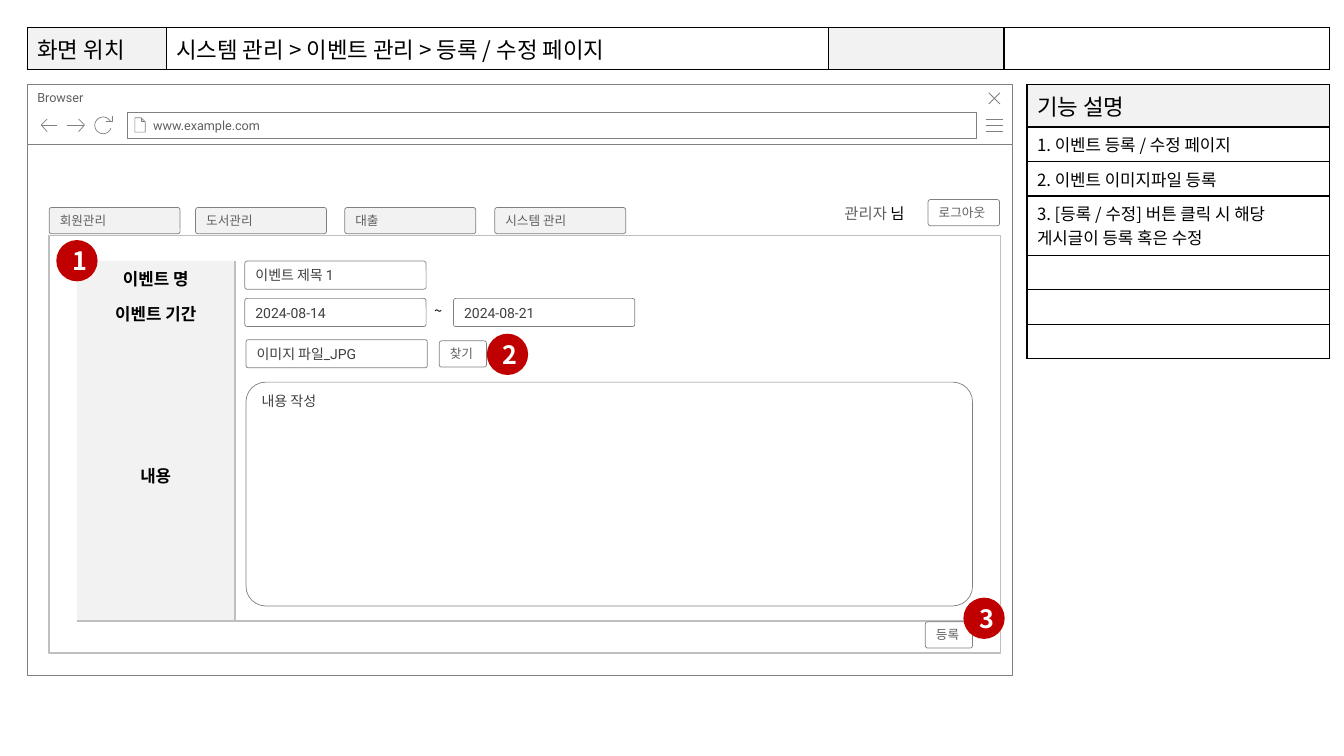
import math
from dataclasses import dataclass, field

import lxml.etree
import pptx
import pptx.dml.color
import pptx.enum.shapes
import pptx.enum.text
import pptx.oxml.ns
import pptx.util

Cm, Pt = pptx.util.Cm, pptx.util.Pt
RGBColor = pptx.dml.color.RGBColor
SHAPE = pptx.enum.shapes.MSO_SHAPE
ANCHOR = pptx.enum.text.MSO_ANCHOR
ALIGN = pptx.enum.text.PP_ALIGN
qn = pptx.oxml.ns.qn

BLACK = RGBColor(0x00, 0x00, 0x00)
WHITE = RGBColor(0xFF, 0xFF, 0xFF)
PALE = RGBColor(0xF2, 0xF2, 0xF2)
SILVER = RGBColor(0xBF, 0xBF, 0xBF)
GRAY = RGBColor(0x80, 0x80, 0x80)
LABEL = RGBColor(0x5F, 0x5F, 0x5F)
INK = RGBColor(0x40, 0x40, 0x40)
RED = RGBColor(0xC0, 0x00, 0x00)
KOREAN = "Noto Sans CJK KR"
CORNER = 0.088


@dataclass(frozen=True)
class TextStyle:
    size: float
    color: RGBColor = BLACK
    name: str = KOREAN
    bold: bool = False


@dataclass
class Box:
    left: float
    top: float
    width: float
    height: float
    spans: list = field(default_factory=list)  # (text, TextStyle) pairs
    kind: int | None = SHAPE.ROUNDED_RECTANGLE  # None makes a text box
    fill: RGBColor | None = WHITE
    line: RGBColor | None = GRAY
    weight: float = 0.5
    frame: dict = field(default_factory=dict)
    align: int = ALIGN.LEFT


@dataclass
class Grid:
    left: float
    top: float
    columns: list
    rows: list
    texts: list
    styles: list  # one TextStyle per row
    shaded: set
    border: RGBColor
    sides: list  # bordered sides, one string per column
    anchor: int = ANCHOR.TOP
    align: int = ALIGN.LEFT


SMALL = TextStyle(9, LABEL, "Roboto")
FIELD = TextStyle(10, INK, "Roboto")
USER = TextStyle(11, LABEL, "Roboto")
TITLE, NOTE = TextStyle(16), TextStyle(12)
HEADING = TextStyle(12, bold=True)
BADGE = TextStyle(18, WHITE, bold=True)
NO_WRAP = {"word_wrap": False}


def add_span(para, text: str, style: TextStyle) -> None:
    span = para.add_run()
    span.text = text
    values = {"size": Pt(style.size), "name": style.name, "bold": style.bold}
    for name, value in values.items():
        setattr(span.font, name, value)
    span.font.color.rgb = style.color
    latin = span.font._element.find(qn("a:latin"))
    east_asian = lxml.etree.Element(qn("a:ea"), typeface=KOREAN)
    latin.addnext(east_asian)


def draw_box(page, box: Box) -> None:
    place = [Cm(value) for value in (box.left, box.top, box.width, box.height)]
    if box.kind is None:
        shape = page.shapes.add_textbox(*place)
    else:
        shape = page.shapes.add_shape(box.kind, *place)
        shape.shadow.inherit = False
        if box.kind == SHAPE.ROUNDED_RECTANGLE:
            shape.adjustments[0] = CORNER
        if box.fill is None:
            shape.fill.background()
        else:
            shape.fill.solid()
            shape.fill.fore_color.rgb = box.fill
        if box.line is None:
            shape.line.fill.background()
        else:
            shape.line.color.rgb = box.line
            shape.line.width = Pt(box.weight)
    anchor = ANCHOR.TOP if box.kind is None else ANCHOR.MIDDLE
    values = {"word_wrap": True, "vertical_anchor": anchor} | box.frame
    for name, value in values.items():
        setattr(shape.text_frame, name, value)
    para = shape.text_frame.paragraphs[0]
    para.alignment = box.align
    for text, style in box.spans:
        add_span(para, text, style)


def draw_icon(page, strokes: list, weight: float = 0.5) -> None:
    """Draw open strokes, each a list of (x, y) points in centimetres."""
    strokes = [[(Cm(x), Cm(y)) for x, y in stroke] for stroke in strokes]
    builder = page.shapes.build_freeform(*strokes[0][0], scale=1.0)
    for index, stroke in enumerate(strokes):
        if index:
            builder.move_to(*stroke[0])
        builder.add_line_segments(stroke[1:], close=False)
    icon = builder.convert_to_shape()
    icon.shadow.inherit = False
    icon.fill.background()
    icon.line.color.rgb = GRAY
    icon.line.width = Pt(weight)


def set_borders(cell, color: RGBColor, sides: str) -> None:
    properties = cell._tc.get_or_add_tcPr()
    for index, side in enumerate("LRTB"):
        line = lxml.etree.Element(qn(f"a:ln{side}"), w=str(Pt(1)))
        if side in sides:
            paint = lxml.etree.SubElement(line, qn("a:solidFill"))
            lxml.etree.SubElement(paint, qn("a:srgbClr"), val=str(color))
        else:
            lxml.etree.SubElement(line, qn("a:noFill"))
        properties.insert(index, line)


def draw_grid(page, grid: Grid) -> None:
    place = (grid.left, grid.top, sum(grid.columns), sum(grid.rows))
    table = page.shapes.add_table(len(grid.rows), len(grid.columns), *map(Cm, place)).table
    table.first_row = table.horz_banding = False
    for column, width in zip(table.columns, grid.columns):
        column.width = Cm(width)
    for r, height in enumerate(grid.rows):
        table.rows[r].height = Cm(height)
        for c, sides in enumerate(grid.sides):
            cell, text, style = table.cell(r, c), grid.texts[r][c], grid.styles[r]
            cell.vertical_anchor = grid.anchor
            if (r, c) in grid.shaded:
                cell.fill.solid()
                cell.fill.fore_color.rgb = PALE
            else:
                cell.fill.background()
            set_borders(cell, grid.border, sides)
            para = cell.text_frame.paragraphs[0]
            para.alignment = grid.align
            if text:
                add_span(para, text, style)
            else:
                lxml.etree.SubElement(para._p, qn("a:endParaRPr"), sz=str(style.size * 100))


def main() -> None:
    deck = pptx.Presentation()
    deck.slide_width, deck.slide_height = Cm(33.87), Cm(19.05)
    page = deck.slides.add_slide(deck.slide_layouts[6])

    browser = [
        Box(0.69, 3.63, 24.82, 13.39, kind=SHAPE.RECTANGLE),
        Box(0.69, 2.13, 24.82, 1.5, [("Browser", SMALL)], SHAPE.RECTANGLE,
            frame={"vertical_anchor": ANCHOR.TOP}),
        Box(3.2, 2.82, 21.41, 0.66, [("www.example.com", SMALL)], SHAPE.RECTANGLE,
            frame={"margin_left": Cm(0.66)}),
    ]
    for box in browser:
        draw_box(page, box)

    arc = [(2.6 + 0.21 * math.cos(math.radians(angle)), 3.16 + 0.21 * math.sin(math.radians(angle)))
           for angle in range(20, 331, 10)]
    draw_icon(page, [[(24.84, y), (25.27, y)] for y in (3.0, 3.15, 3.3)])
    draw_icon(page, [[(25.2, 2.34), (24.92, 2.62)], [(24.92, 2.34), (25.2, 2.62)]], 0.75)
    draw_icon(page, [[(3.56, 2.97), (3.56, 3.07), (3.66, 3.07)],
                     [(3.56, 2.97), (3.4, 2.97), (3.4, 3.33), (3.66, 3.33), (3.66, 3.07), (3.56, 2.97)]])
    for tip, bend, tail in ((1.04, 1.19, 1.45), (2.13, 1.98, 1.7)):
        draw_icon(page, [[(bend, 3.0), (tip, 3.15), (bend, 3.32)], [(tip, 3.15), (tail, 3.15)]])
    draw_icon(page, [[(2.82, 2.92), (2.82, 3.05), (2.67, 3.05)], arc])

    notes = ["기능 설명", "1. 이벤트 등록 / 수정 페이지", "2. 이벤트 이미지파일 등록",
             "3. [등록 / 수정] 버튼 클릭 시 해당 게시글이 등록 혹은 수정", "", "", ""]
    draw_grid(page, Grid(25.88, 2.13, [7.62], [1.07, 0.87, 0.87, 1.49, 0.87, 0.87, 0.87],
                         [[note] for note in notes], [TITLE] + [NOTE] * 6, {(0, 0)}, BLACK, ["LRTB"]))
    draw_grid(page, Grid(0.69, 0.69, [3.5, 16.69, 4.42, 8.2], [1.07],
                         [["화면 위치", "시스템 관리 > 이벤트 관리 > 등록 / 수정 페이지", "", ""]],
                         [TITLE], {(0, 0), (0, 2)}, BLACK, ["LRTB"] * 4))

    draw_box(page, Box(1.24, 5.94, 23.98, 10.52, kind=SHAPE.RECTANGLE, fill=None, line=SILVER, weight=1))
    draw_grid(page, Grid(1.93, 6.58, [3.99, 18.59], [0.87, 0.87, 7.33],
                         [["이벤트 명", ""], ["이벤트 기간", ""], ["내용", ""]], [HEADING] * 3,
                         {(row, 0) for row in range(3)}, SILVER, ["RB", "LB"], ANCHOR.MIDDLE, ALIGN.CENTER))

    tabs = [("회원관리", 1.24), ("도서관리", 4.93), ("대출", 8.69), ("시스템 관리", 12.47)]
    buttons = [("로그아웃", 23.39, 5.03, 1.8), ("찾기", 11.07, 8.59, 1.19), ("등록", 23.32, 15.67, 1.19)]
    fields = [("이벤트 제목 1", 6.17, 6.58), ("이미지 파일_JPG", 6.2, 8.56),
              ("2024-08-14", 6.17, 7.52), ("2024-08-21", 11.43, 7.52)]
    badges = [("1", 1.42, 6.05), ("2", 12.27, 8.41), ("3", 24.28, 15.06)]
    form = [Box(left, 5.23, 3.3, 0.66, [(text, SMALL)], fill=PALE) for text, left in tabs]
    form += [Box(left, top, 4.57, 0.71, [(text, FIELD)]) for text, left, top in fields]
    form += [Box(left, top, width, 0.66, [(text, SMALL)], frame=NO_WRAP)
             for text, left, top, width in buttons]
    form += [
        Box(6.2, 9.63, 18.31, 5.64, [("내용 작성", FIELD)], frame={"vertical_anchor": ANCHOR.TOP}),
        Box(21.03, 5.03, 2.51, 0.74, [("관리자 ", USER), ("님", TextStyle(11))], None),
        Box(10.69, 7.49, 0.79, 0.74, [("~", TextStyle(10.5))], None, frame=NO_WRAP),
    ]
    form += [Box(left, top, 1.04, 1.04, [(text, BADGE)], SHAPE.OVAL, RED, None, align=ALIGN.CENTER)
             for text, left, top in badges]
    for box in form:
        draw_box(page, box)

    deck.save("out.pptx")


if __name__ == "__main__":
    main()
